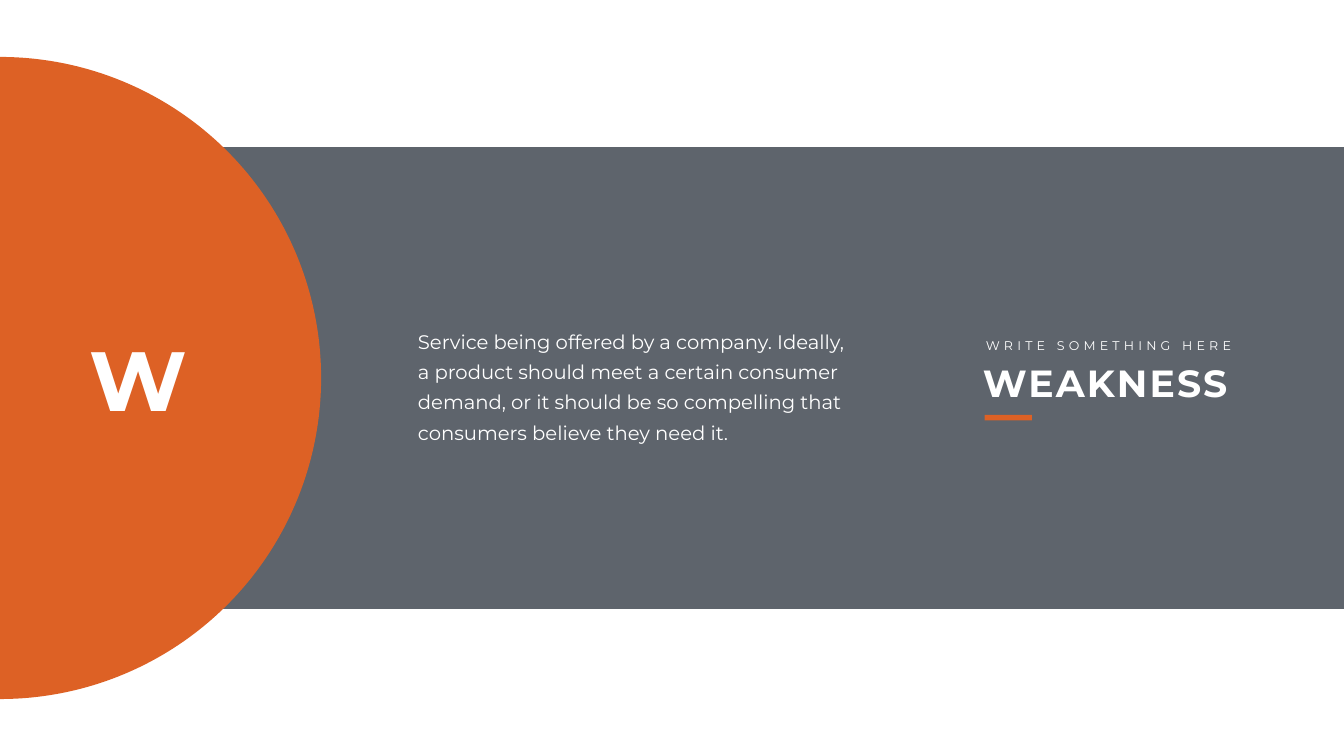
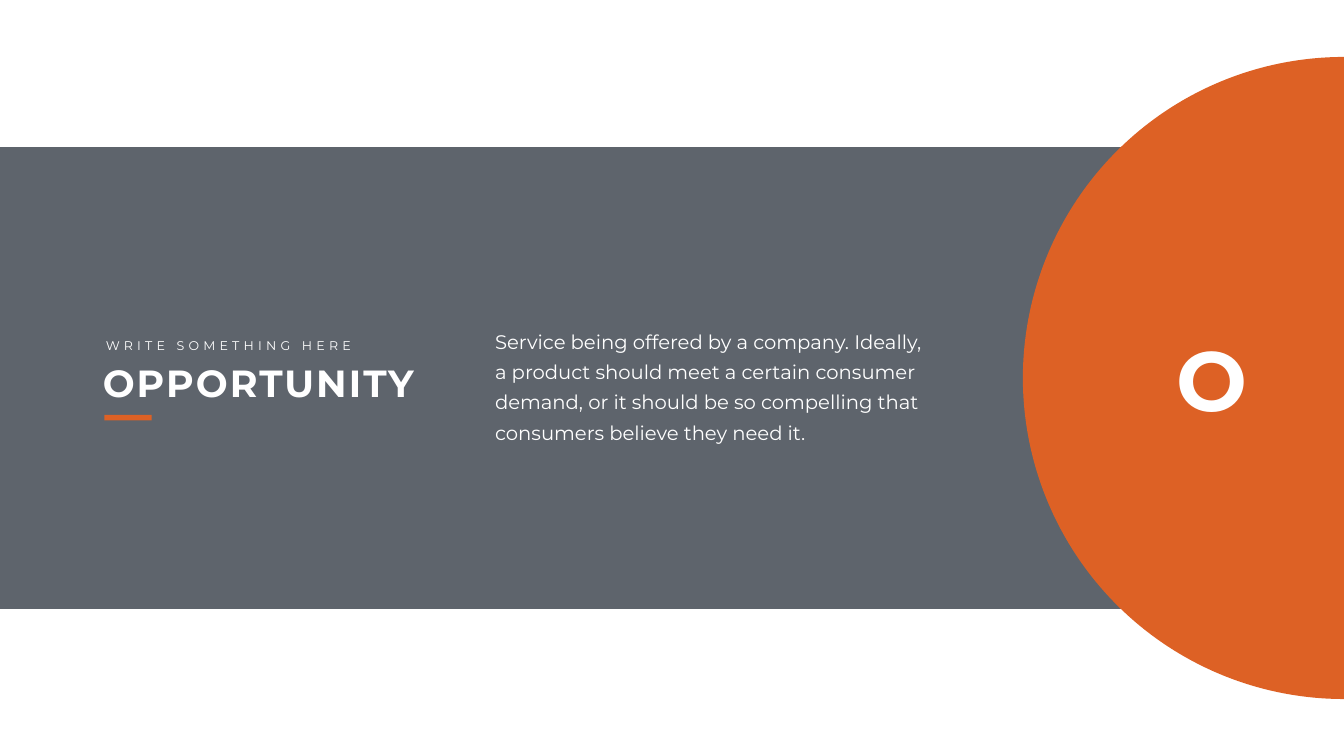
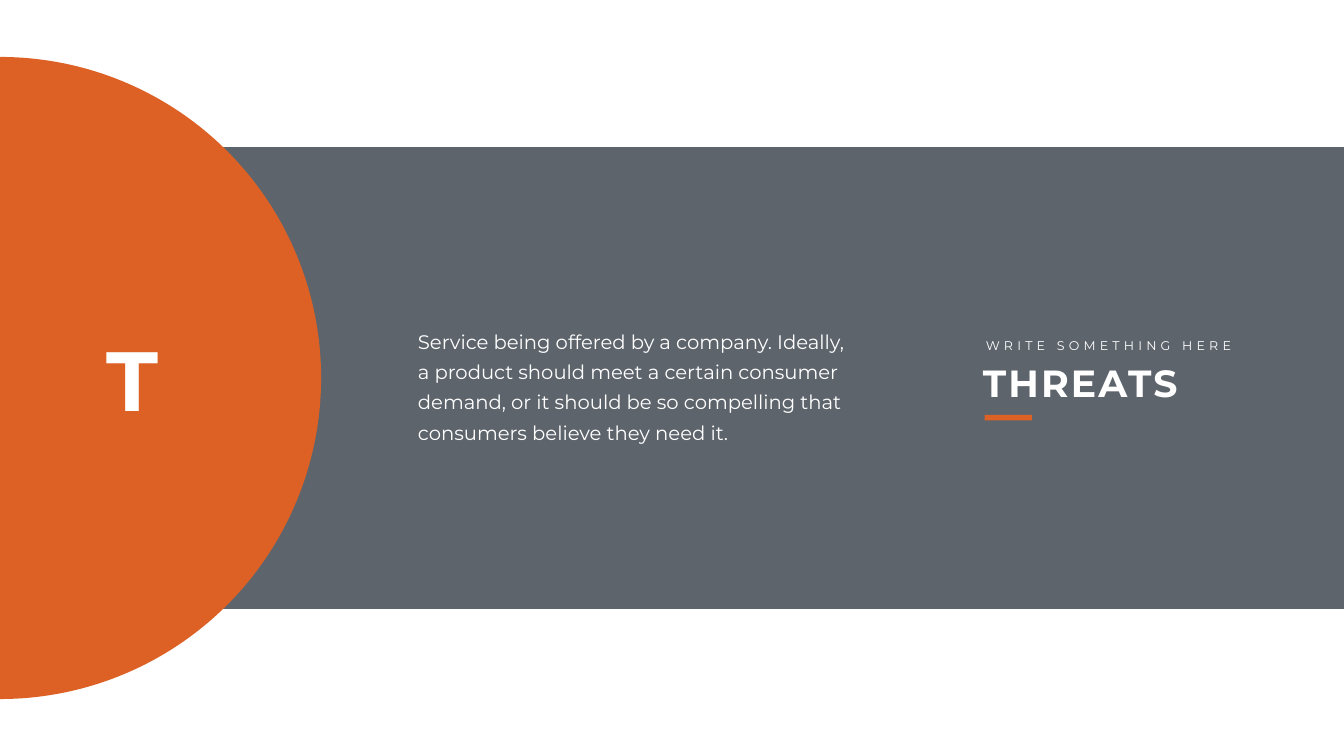
import dataclasses

import lxml.etree
import pptx
import pptx.dml.color
import pptx.enum.shapes
import pptx.enum.text
import pptx.oxml.ns
import pptx.util

EMU_PER_PX = 9144  # 100 px to the inch
SLIDE_WIDTH, SLIDE_HEIGHT = 2666, 1500


@dataclasses.dataclass(frozen=True)
class Theme:
    font: str = "Montserrat"
    background: str = "FFFFFF"
    text: str = "FFFFFF"
    band: str = "363E48"
    band_opacity: int = 80
    accent: str = "DD6125"
    letter_size: int = 120
    title_size: int = 54
    body_size: int = 28
    caption_size: int = 18
    body_leading: int = 43
    title_tracking: int = 3
    caption_tracking: int = 6


@dataclasses.dataclass(frozen=True)
class Section:
    title: str
    circle_on_left: bool
    title_width: int


THEME = Theme()
CAPTION = "WRITE SOMETHING HERE"
BODY = (
    "Service being offered by a company. Ideally, a product should meet a certain "
    "consumer demand, or it should be so compelling that consumers believe they need it."
)
SECTIONS = (
    Section("WEAKNESS", True, 1047),
    Section("OPPORTUNITY", False, 1047),
    Section("THREATS", True, 558),
)


def px(length):
    return pptx.util.Emu(length * EMU_PER_PX)


def rgb(code):
    return pptx.dml.color.RGBColor.from_string(code)


def add_child(parent, tag, value):
    child = lxml.etree.SubElement(parent, pptx.oxml.ns.qn(tag))
    child.set("val", str(value))


def add_filled_shape(shapes, kind, box, color):
    shape = shapes.add_shape(kind, *map(px, box))
    shape.shadow.inherit = False
    shape.fill.solid()
    shape.fill.fore_color.rgb = rgb(color)
    shape.line.fill.background()
    return shape


def add_text(shapes, box, text, size, bold=False, tracking=0, wrap=True):
    """Add a one-paragraph text box and return its frame and paragraph."""
    frame = shapes.add_textbox(*map(px, box)).text_frame
    frame.word_wrap = wrap
    frame.auto_size = pptx.enum.text.MSO_AUTO_SIZE.SHAPE_TO_FIT_TEXT
    paragraph = frame.paragraphs[0]
    paragraph.text = text
    font = paragraph.font
    font.name = THEME.font
    font.size = pptx.util.Pt(size)
    font.bold = bold
    font.color.rgb = rgb(THEME.text)
    if tracking:
        properties = paragraph._p.get_or_add_pPr().find(pptx.oxml.ns.qn("a:defRPr"))
        properties.set("spc", str(tracking * 100))
    return frame, paragraph


def add_band(slide, top, height):
    band = add_filled_shape(
        slide.shapes, pptx.enum.shapes.MSO_SHAPE.RECTANGLE,
        (0, top, SLIDE_WIDTH, height), THEME.band,
    )
    color = band.fill._xPr.find(".//" + pptx.oxml.ns.qn("a:srgbClr"))
    add_child(color, "a:alpha", THEME.band_opacity * 1000)


def add_half_circle(slide, letter, on_left, top, diameter):
    """Centre a circle on a side edge, show its inner half and set the letter in it."""
    shapes = slide.shapes.add_group_shape().shapes
    edge = 0 if on_left else SLIDE_WIDTH
    circle = add_filled_shape(
        shapes, pptx.enum.shapes.MSO_SHAPE.CHORD,
        (edge - diameter // 2, top, diameter, diameter), THEME.accent,
    )
    bottom_angle, top_angle = 54, 162
    start, end = (top_angle, bottom_angle) if on_left else (bottom_angle, top_angle)
    circle.adjustments[0] = start
    circle.adjustments[1] = end

    width, margin = 189, 168
    left = margin if on_left else SLIDE_WIDTH - margin - width
    _, paragraph = add_text(
        shapes, (left, top + 531, width, 212), letter, THEME.letter_size, bold=True
    )
    paragraph.alignment = pptx.enum.text.PP_ALIGN.CENTER


def add_heading(slide, left, top, title, title_width):
    shapes = slide.shapes.add_group_shape().shapes
    add_text(shapes, (left, top + 43, title_width, 101), title,
             THEME.title_size, bold=True, tracking=THEME.title_tracking)
    add_text(shapes, (left + 6, top, 518, 40), CAPTION,
             THEME.caption_size, tracking=THEME.caption_tracking, wrap=False)
    add_filled_shape(shapes, pptx.enum.shapes.MSO_SHAPE.RECTANGLE,
                     (left + 13, top + 157, 94, 11), THEME.accent)


def add_body(slide, left, top):
    frame, paragraph = add_text(
        slide.shapes, (left, top, 901, 260), BODY, THEME.body_size
    )
    frame.margin_left = frame.margin_right = px(24)
    frame.margin_top = frame.margin_bottom = px(12)
    paragraph.line_spacing = pptx.util.Pt(THEME.body_leading)
    paragraph.space_before = pptx.util.Pt(0)
    space_before = paragraph._p.pPr.find(pptx.oxml.ns.qn("a:spcBef"))
    space_before.clear()
    add_child(space_before, "a:spcPct", 20000)


def add_section_slide(presentation, section):
    slide = presentation.slides.add_slide(presentation.slide_layouts[6])
    slide.background.fill.solid()
    slide.background.fill.fore_color.rgb = rgb(THEME.background)
    heading_left, body_left = (1940, 805) if section.circle_on_left else (194, 958)
    add_band(slide, 292, 916)
    add_half_circle(slide, section.title[0], section.circle_on_left, 113, 1274)
    add_heading(slide, heading_left, 666, section.title, section.title_width)
    add_body(slide, body_left, 630)


def main():
    presentation = pptx.Presentation()
    presentation.slide_width = px(SLIDE_WIDTH)
    presentation.slide_height = px(SLIDE_HEIGHT)
    for section in SECTIONS:
        add_section_slide(presentation, section)
    presentation.save("out.pptx")


if __name__ == "__main__":
    main()
